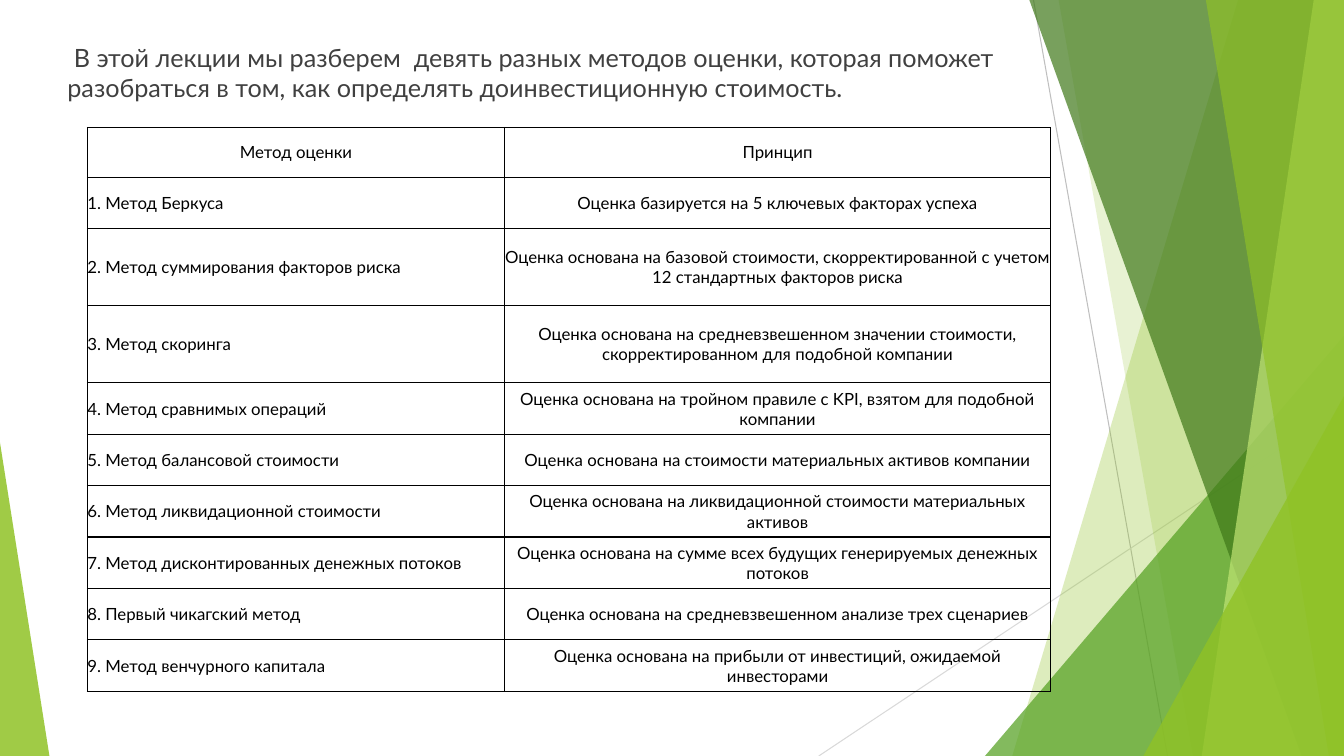
from lxml import etree
from pptx import Presentation
from pptx import util as u
from pptx.dml.color import RGBColor
from pptx.enum import shapes, text
from pptx.oxml import ns

LIME = RGBColor(0x90, 0xC2, 0x26)
PALE_LIME = RGBColor(0xC0, 0xE4, 0x74)
GREEN = RGBColor(0x54, 0xA0, 0x21)
DARK_GREEN = RGBColor(0x3F, 0x78, 0x19)
GREY = RGBColor(0xBF, 0xBF, 0xBF)
LIGHT_GREY = RGBColor(0xD9, 0xD9, 0xD9)
INK = RGBColor(0x40, 0x40, 0x40)
BLACK = RGBColor(0, 0, 0)

INTRO = (" В этой лекции мы разберем  девять разных методов оценки, которая поможет "
         "разобраться в том, как определять доинвестиционную стоимость.")
HEADER = ("Метод оценки", "Принцип")
METHODS = [
    ("Метод Беркуса", "Оценка базируется на 5 ключевых факторах успеха"),
    ("Метод суммирования факторов риска",
     "Оценка основана на базовой стоимости, скорректированной с учетом 12 стандартных факторов риска"),
    ("Метод скоринга",
     "Оценка основана на средневзвешенном значении стоимости, скорректированном для подобной компании"),
    ("Метод сравнимых операций",
     "Оценка основана на тройном правиле с KPI, взятом для подобной компании"),
    ("Метод балансовой стоимости",
     "Оценка основана на стоимости материальных активов компании"),
    ("Метод ликвидационной стоимости",
     "Оценка основана на ликвидационной стоимости материальных активов"),
    ("Метод дисконтированных денежных потоков",
     "Оценка основана на сумме всех будущих генерируемых денежных потоков"),
    ("Первый чикагский метод",
     "Оценка основана на средневзвешенном анализе трех сценариев"),
    ("Метод венчурного капитала",
     "Оценка основана на прибыли от инвестиций, ожидаемой инвесторами"),
]
TALL_ROWS = (2, 3)


class SlideBuilder:
    """Draws styled elements on one slide, with lengths in percent of its size."""

    def __init__(self, deck, font):
        self.deck = deck
        self.font = font
        self.page = deck.slides.add_slide(deck.slide_layouts[6])

    def x(self, share):
        return u.Emu(round(self.deck.slide_width * share / 100))

    def y(self, share):
        return u.Emu(round(self.deck.slide_height * share / 100))

    def frame(self, left, top, width, height):
        return self.x(left), self.y(top), self.x(width), self.y(height)

    def line(self, x1, y1, x2, y2, color):
        line = self.page.shapes.add_connector(
            shapes.MSO_CONNECTOR.STRAIGHT, self.x(x1), self.y(y1), self.x(x2), self.y(y2))
        line.line.color.rgb = color
        line.line.width = u.Pt(0.75)
        etree.SubElement(line._element.spPr, ns.qn("a:effectLst"))

    def paint(self, shape, color, opacity):
        shape.shadow.inherit = False
        shape.line.fill.background()
        shape.fill.solid()
        shape.fill.fore_color.rgb = color
        tint = shape._element.spPr.find(ns.qn("a:solidFill"))[0]
        etree.SubElement(tint, ns.qn("a:alpha"), val=str(opacity * 1000))

    def ribbon(self, top_left, bottom_left, color, opacity):
        outline = self.page.shapes.build_freeform(self.x(top_left), 0)
        corners = ((100, 0), (100, 100), (bottom_left, 100))
        outline.add_line_segments([(self.x(x), self.y(y)) for x, y in corners])
        self.paint(outline.convert_to_shape(), color, opacity)

    def triangle(self, left, top, width, apex, color, opacity):
        shape = self.page.shapes.add_shape(
            shapes.MSO_SHAPE.ISOSCELES_TRIANGLE, *self.frame(left, top, width, 100 - top))
        shape.adjustments[0] = apex
        self.paint(shape, color, opacity)

    def add_span(self, para, words, size, color):
        span = para.add_run()
        span.text = words
        span.font.name = self.font
        span.font.size = u.Pt(size)
        span.font.color.rgb = color

    def textbox(self, left, top, width, height, words):
        box = self.page.shapes.add_textbox(*self.frame(left, top, width, height))
        box.text_frame.word_wrap = True
        para = box.text_frame.paragraphs[0]
        para.space_before = u.Pt(10)
        self.add_span(para, words, 18, INK)

    def border(self, cell):
        props = cell._tc.get_or_add_tcPr()
        for index, side in enumerate(("lnL", "lnR", "lnT", "lnB")):
            edge = etree.Element(ns.qn(f"a:{side}"), w=str(u.Pt(1)))
            fill = etree.SubElement(edge, ns.qn("a:solidFill"))
            etree.SubElement(fill, ns.qn("a:srgbClr"), val=str(BLACK))
            props.insert(index, edge)

    def table(self, left, top, widths, heights, rows):
        table = self.page.shapes.add_table(
            len(rows), len(widths), *self.frame(left, top, sum(widths), sum(heights))).table
        table.first_row = table.horz_banding = False
        for column, width in zip(table.columns, widths):
            column.width = self.x(width)
        for r, (row, height) in enumerate(zip(rows, heights)):
            table.rows[r].height = self.y(height)
            for c, words in enumerate(row):
                cell = table.cell(r, c)
                cell.fill.background()
                cell.vertical_anchor = text.MSO_ANCHOR.MIDDLE
                cell.margin_left = cell.margin_right = 0
                cell.margin_top = cell.margin_bottom = 0
                para = cell.text_frame.paragraphs[0]
                centred = r == 0 or c == 1
                para.alignment = text.PP_ALIGN.CENTER if centred else text.PP_ALIGN.LEFT
                self.add_span(para, words, 12, BLACK)
                self.border(cell)


def main():
    deck = Presentation()
    deck.slide_width, deck.slide_height = u.Inches(13.33), u.Inches(7.5)
    slide = SlideBuilder(deck, "Lato")

    slide.line(76.9, 0, 86.87, 100, GREY)
    slide.line(100, 53.73, 60.92, 100, LIGHT_GREY)
    slide.ribbon(92.12, 75.32, LIME, 30)
    slide.ribbon(78.77, 88.75, LIME, 20)
    slide.triangle(73.29, 44.4, 26.71, 1, GREEN, 72)
    slide.ribbon(76.59, 96.85, DARK_GREEN, 70)
    slide.ribbon(97.75, 89.42, PALE_LIME, 70)
    slide.ribbon(89.72, 98.87, LIME, 65)
    slide.triangle(85.07, 52.4, 14.93, 1, LIME, 80)
    slide.triangle(0, 58.53, 3.68, 0, LIME, 85)

    slide.textbox(4.28, 4.93, 70.82, 83.2, INTRO)
    rows = [HEADER] + [(f"{n}. {name}", rule) for n, (name, rule) in enumerate(METHODS, 1)]
    heights = [6.6] + [10.2 if n in TALL_ROWS else 6.8 for n in range(1, len(rows))]
    slide.table(6.5, 16.85, (31.06, 40.6), heights, rows)
    deck.save("out.pptx")


if __name__ == "__main__":
    main()
